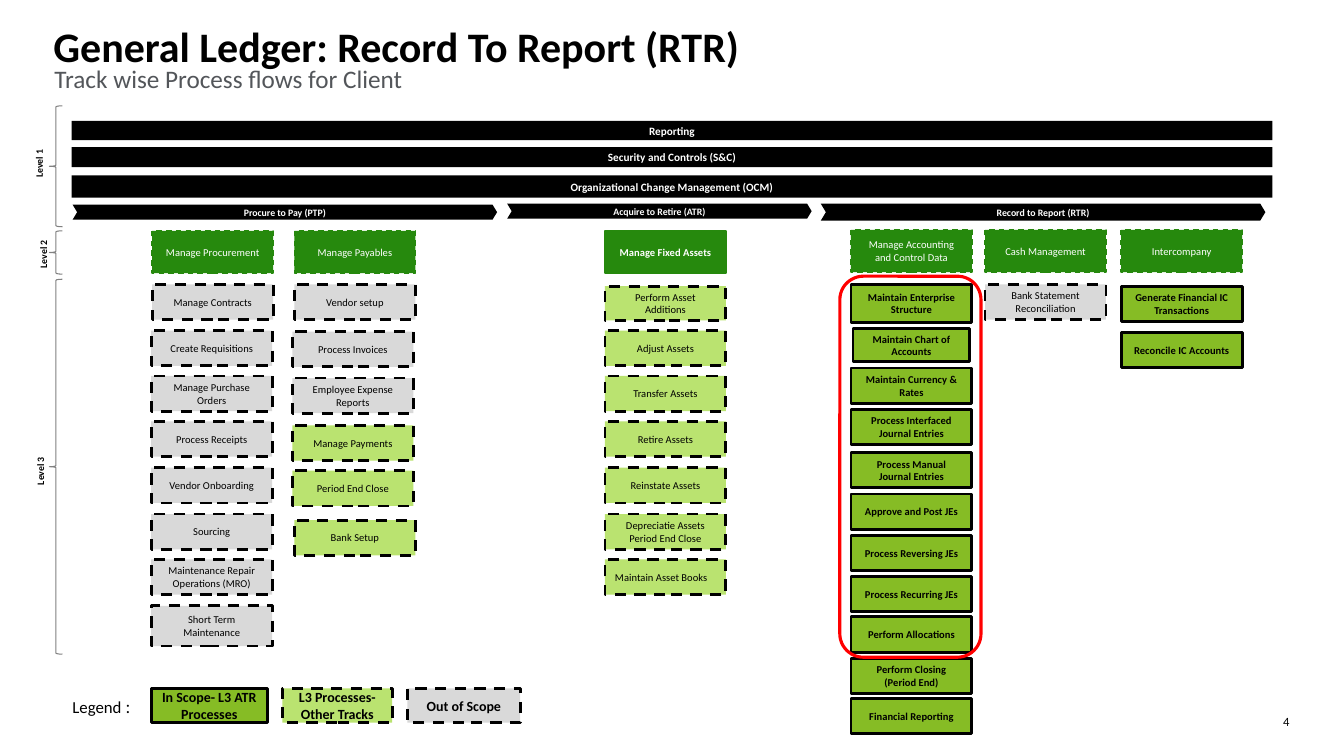
"""Build the Record To Report process-flow slide."""
from pptx import Presentation
from pptx.dml.color import RGBColor
from pptx.enum.dml import MSO_LINE
from pptx.enum.shapes import MSO_SHAPE
from pptx.enum.text import MSO_ANCHOR, PP_ALIGN
from pptx.util import Emu, Pt

RECT, CHEVRON = MSO_SHAPE.RECTANGLE, MSO_SHAPE.CHEVRON
BRACE, ROUNDED = MSO_SHAPE.LEFT_BRACE, MSO_SHAPE.ROUNDED_RECTANGLE
TOP, MIDDLE = MSO_ANCHOR.TOP, MSO_ANCHOR.MIDDLE
LEFT, CENTER, RIGHT = PP_ALIGN.LEFT, PP_ALIGN.CENTER, PP_ALIGN.RIGHT
DASH = MSO_LINE.DASH
EMU_PER_PX = 9144
FONT = "Calibri"
COLORS = {
    "black": "000000", "white": "FFFFFF", "gray": "D9D9D9", "brace": "808080",
    "subtitle": "53565A", "head": "26890D", "scope": "86BC25",
    "other": "BAE370", "red": "FF0000",
}
STYLES = {
    "scope": {"fill": "scope", "line": "black", "bold": True},
    "other": {"fill": "other", "line": "black", "dash": True},
    "out": {"fill": "gray", "line": "black", "dash": True},
}
BANDS = [
    ("Reporting", 120, 19),
    ("Security and Controls (S&C)", 146, 20),
    ("Organizational Change Management (OCM)", 174, 22),
]
STREAMS = [
    ("Procure to Pay (PTP)", 72, 203, 421, 15),
    ("Acquire to Retire (ATR)", 503, 202, 302, 15),
    ("Record to Report (RTR)", 814, 202, 441, 17),
]
LEVELS = [
    ("Level 1", (49, 105, 13, 120), (15, 151, 48, 22)),
    ("Level 2", (49, 229, 13, 43), (19, 241, 48, 22)),
    ("Level 3", (49, 277, 13, 372), (13, 453, 54, 22)),
]
GRID = [282 + round(45.5 * row) for row in range(8)]
HEADS = [
    ("Manage Procurement", 151, 229),
    ("Manage Payables", 292, 229),
    ("Manage Fixed Assets", 600, 229),
    ("Manage Accounting and Control Data", 844, 228),
    ("Cash Management", 977, 228),
    ("Intercompany", 1112, 228),
]
IN_SCOPE_HEAD = "Manage Fixed Assets"
PROCESSES = [
    (150, GRID, "out", [
        "Manage Contracts", "Create Requisitions", "Manage Purchase Orders",
        "Process Receipts", "Vendor Onboarding", "Sourcing",
        "Maintenance Repair Operations (MRO)", "Short Term Maintenance"]),
    (290, [282, 329, 375], "out", [
        "Vendor setup", "Process Invoices", "Employee Expense Reports"]),
    (290, [422, 467, 516], "other", [
        "Manage Payments", "Period End Close", "Bank Setup"]),
    (600, GRID, "other", [
        "Perform Asset Additions", "Adjust Assets", "Transfer Assets",
        "Retire Assets", "Reinstate Assets",
        "Depreciatie Assets Period End Close", "Maintain Asset Books\t"]),
    (844, [282, 326, 365, 406, 449, 490, 531, 572, 612, 653, 693], "scope", [
        "Maintain Enterprise Structure", "Maintain Chart of Accounts",
        "Maintain Currency & Rates", "Process Interfaced Journal Entries",
        "Process Manual Journal Entries", "Approve and Post JEs",
        "Process Reversing JEs", "Process Recurring JEs",
        "Perform Allocations", "Perform Closing\n(Period End)",
        "Financial Reporting"]),
    (977, GRID, "out", ["Bank Statement Reconciliation"]),
    (1112, [284, 330], "scope", [
        "Generate Financial IC Transactions", "Reconcile IC Accounts"]),
]
SPECIAL_PLACES = {
    "Manage Contracts": (151, 282, 120, 35),
    "Short Term Maintenance": (150, 601, 120, 40),
    "Vendor setup": (292, 282, 120, 35),
    "Bank Setup": (292, 516, 120, 35),
    "Perform Asset Additions": (600, 284, 120, 34),
    "Maintain Enterprise Structure": (844, 282, 120, 38),
    "Maintain Chart of Accounts": (846, 326, 116, 33),
}
LEGEND = [
    ("scope", "In Scope- L3 ATR Processes", 150, 115),
    ("other", "L3 Processes- Other Tracks", 280, 109),
    ("out", "Out of Scope", 404, 112),
]


def px(value):
    return Emu(value * EMU_PER_PX)


def color(name):
    return RGBColor.from_string(COLORS[name])


def write(shape, text, size, ink="black", bold=False, align=CENTER,
          anchor=MIDDLE, wrap=True):
    frame = shape.text_frame
    frame.text = text
    frame.word_wrap = wrap
    frame.vertical_anchor = anchor
    for para in frame.paragraphs:
        para.alignment = align
        para.font.name = FONT
        para.font.size = Pt(size)
        para.font.bold = bold
        para.font.color.rgb = color(ink)


def add_shape(page, kind, place, fill=None, line=None, weight=2, dash=False):
    shape = page.shapes.add_shape(kind, *map(px, place))
    shape.shadow.inherit = False
    if fill:
        shape.fill.solid()
        shape.fill.fore_color.rgb = color(fill)
    else:
        shape.fill.background()
    if line:
        shape.line.color.rgb = color(line)
        shape.line.width = Pt(weight)
        if dash:
            shape.line.dash_style = DASH
    else:
        shape.line.fill.background()
    return shape


def add_text(page, place, text, size, inset=True, **look):
    box = page.shapes.add_textbox(*map(px, place))
    frame = box.text_frame
    if not inset:
        frame.margin_left = frame.margin_right = 0
        frame.margin_top = frame.margin_bottom = 0
    write(box, text, size, **look)
    return box


def add_process(page, place, text, style, size=7.5):
    look = STYLES[style]
    box = add_shape(page, RECT, place, look["fill"], look["line"],
                    dash=look.get("dash", False))
    write(box, text, size, bold=look.get("bold", False) or size > 8)


def main():
    deck = Presentation()
    deck.slide_width, deck.slide_height = px(1333), px(750)
    page = deck.slides.add_slide(deck.slide_layouts[6])

    add_text(page, (1245, 708, 34, 15), "4", 9, False, align=RIGHT, anchor=TOP)
    add_text(page, (53, 20, 1224, 37), "General Ledger: Record To Report (RTR)",
             30, False, bold=True, align=LEFT, anchor=TOP)
    add_text(page, (54, 63, 1224, 83), "Track wise Process flows for Client",
             18, False, ink="subtitle", align=LEFT, anchor=TOP)

    for text, top, height in BANDS:
        band = add_shape(page, RECT, (71, top, 1191, height), "black")
        write(band, text, 8, "white", True)
    for text, *place in STREAMS:
        stream = add_shape(page, CHEVRON, place, "black")
        stream.adjustments[0] = 0.3
        write(stream, text, 7, "white", True)
    for text, brace_place, label_place in LEVELS:
        add_shape(page, BRACE, brace_place, line="brace", weight=0.75)
        label = add_text(page, label_place, text, 7, bold=True, align=LEFT,
                         anchor=TOP, wrap=False)
        label.rotation = 270

    for text, left, top in HEADS:
        in_scope = text == IN_SCOPE_HEAD
        head = add_shape(page, RECT, (left, top, 120, 42), "head", "head", 1,
                         not in_scope)
        write(head, text, 7.5, "white", in_scope)
    for left, tops, style, names in PROCESSES:
        for top, text in zip(tops, names):
            place = SPECIAL_PLACES.get(text, (left, top, 120, 35))
            add_process(page, place, text, style)

    legend = add_text(page, (62, 690, 100, 23), "Legend", 12, align=LEFT)
    span = legend.text_frame.paragraphs[0].add_run()
    span.text = " :"
    span.font.name = "Lato"
    for style, text, left, width in LEGEND:
        add_process(page, (left, 683, width, 34), text, style, 10)

    add_shape(page, ROUNDED, (833, 274, 140, 378), line="red", weight=2.25)
    deck.save("out.pptx")


if __name__ == "__main__":
    main()
